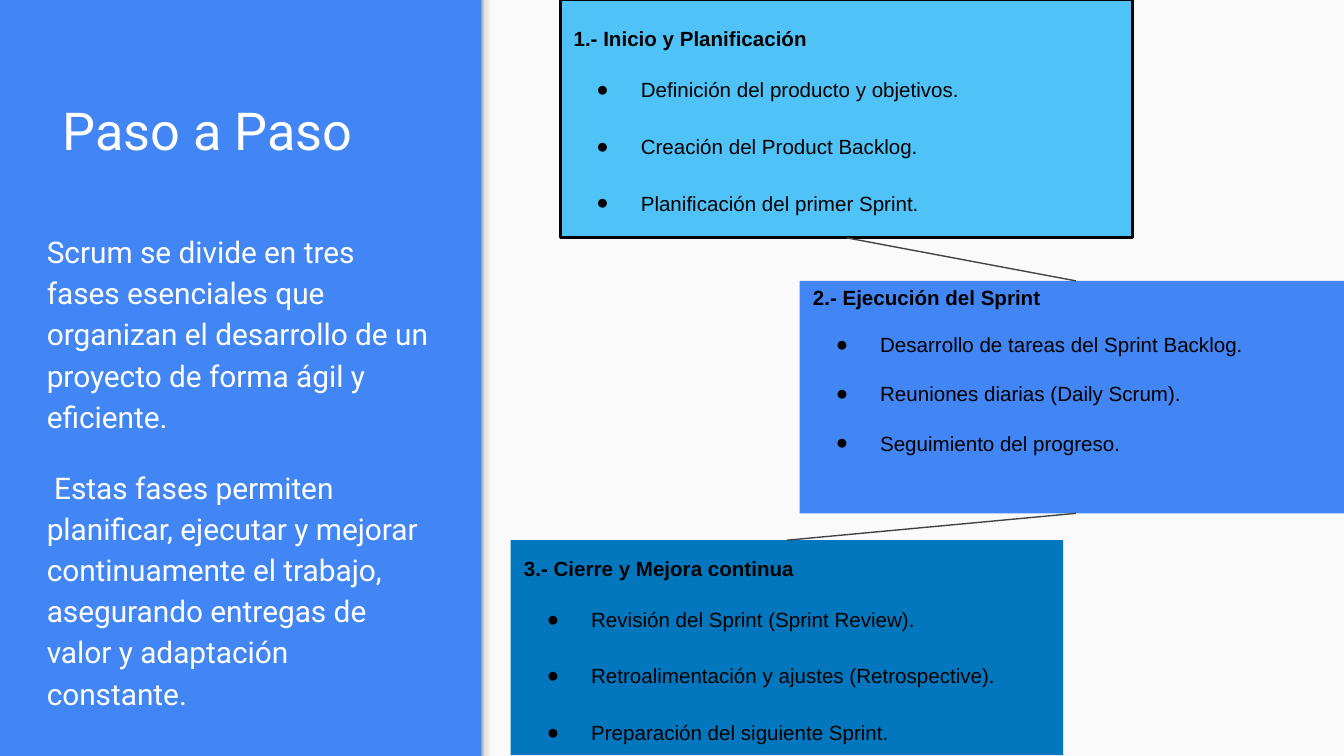
import copy

import pptx
import pptx.dml.color
import pptx.enum.shapes
import pptx.enum.text
import pptx.oxml
import pptx.oxml.ns
import pptx.util

Inches = pptx.util.Inches
Pt = pptx.util.Pt
RGBColor = pptx.dml.color.RGBColor
Anchor = pptx.enum.text.MSO_ANCHOR

PAGE_WIDTH = 10
PAGE_HEIGHT = PAGE_WIDTH * 9 / 16

BLUE = RGBColor(0x42, 0x85, 0xF4)
SKY = RGBColor(0x4F, 0xC3, 0xF7)
DEEP_BLUE = RGBColor(0x02, 0x77, 0xBD)
PAPER = RGBColor(0xFA, 0xFA, 0xFA)
WHITE = RGBColor(0xFF, 0xFF, 0xFF)
BLACK = RGBColor(0, 0, 0)
CHARCOAL = RGBColor(0x42, 0x42, 0x42)
SHADE_STOPS = [
    (0, RGBColor(0x99, 0x99, 0x99)),
    (0.2, RGBColor(0xDE, 0xDE, 0xDE)),
    (0.64, RGBColor(0xF9, 0xF9, 0xF9)),
    (1, RGBColor(0xF9, 0xF9, 0xF9)),
]


class SlideBuilder:
    side_font = "Roboto"
    card_font = "Arial"
    card_size = Pt(11)
    margin = Inches(0.1)

    def __init__(self, page):
        self.page = page
        page.background.fill.solid()
        page.background.fill.fore_color.rgb = BLUE

    def rectangle(self, left, top, width, height, color, outline=None):
        box = self.page.shapes.add_shape(
            pptx.enum.shapes.MSO_SHAPE.RECTANGLE,
            Inches(left), Inches(top), Inches(width), Inches(height),
        )
        box.shadow.inherit = False
        box.fill.solid()
        box.fill.fore_color.rgb = color
        if outline is None:
            box.line.fill.background()
        else:
            box.line.color.rgb = outline
            box.line.width = Pt(1.5)
        return box

    def shade(self, left, top, width, height):
        strip = self.rectangle(left, top, width, height, PAPER)
        strip.fill.gradient()
        strip.fill.gradient_angle = 0
        stop_list = strip.fill._fill._gradFill.gsLst
        while len(stop_list) < len(SHADE_STOPS):
            stop_list.append(copy.deepcopy(stop_list[0]))
        for stop, (position, color) in zip(strip.fill.gradient_stops, SHADE_STOPS):
            stop.position = position
            stop.color.rgb = color

    def prepare_frame(self, frame, anchor, top_margin=margin):
        frame.word_wrap = True
        frame.vertical_anchor = anchor
        frame.margin_left = frame.margin_right = frame.margin_bottom = self.margin
        frame.margin_top = top_margin

    def format_runs(self, para, font, size, color, bold=False):
        for span in para.runs:
            span.font.name = font
            span.font.size = size
            span.font.bold = bold
            span.font.color.rgb = color

    def side_text(self, left, top, width, height, text, size, anchor, spacing=1.0):
        box = self.page.shapes.add_textbox(
            Inches(left), Inches(top), Inches(width), Inches(height)
        )
        frame = box.text_frame
        self.prepare_frame(frame, anchor)
        frame.text = text
        for index, para in enumerate(frame.paragraphs):
            para.line_spacing = spacing
            if index:
                para.space_before = Pt(16)
            self.format_runs(para, self.side_font, Pt(size), WHITE)

    def bullet(self, para):
        properties = para._p.get_or_add_pPr()
        properties.set("marL", str(Inches(0.5)))
        properties.set("indent", str(Inches(-0.33)))
        namespace = pptx.oxml.ns.nsdecls("a")
        for markup in (
            f'<a:buClr {namespace}><a:srgbClr val="{BLACK}"/></a:buClr>',
            f'<a:buFont {namespace} typeface="{self.card_font}"/>',
            f'<a:buChar {namespace} char="●"/>',
        ):
            properties.append(pptx.oxml.parse_xml(markup))

    def card(self, left, top, width, height, color, heading, items,
             top_margin, spacing, item_gap, outline=None):
        box = self.rectangle(left, top, width, height, color, outline)
        frame = box.text_frame
        self.prepare_frame(frame, Anchor.TOP, Inches(top_margin))
        frame.text = "\n".join([heading, *items])
        for index, para in enumerate(frame.paragraphs):
            if index:
                self.bullet(para)
                para.space_before = Pt(12 if index == 1 else item_gap)
            para.alignment = pptx.enum.text.PP_ALIGN.LEFT
            para.line_spacing = spacing
            self.format_runs(para, self.card_font, self.card_size, BLACK, index == 0)
        return box

    def link(self, upper, lower):
        line = self.page.shapes.add_connector(
            pptx.enum.shapes.MSO_CONNECTOR.STRAIGHT, 0, 0, 0, 0
        )
        line.begin_connect(upper, 2)
        line.end_connect(lower, 0)
        line.line.color.rgb = CHARCOAL
        line.line.width = Pt(0.75)
        line._element.spPr.append(
            pptx.oxml.parse_xml(f'<a:effectLst {pptx.oxml.ns.nsdecls("a")}/>')
        )


def main():
    deck = pptx.Presentation()
    deck.slide_width = Inches(PAGE_WIDTH)
    deck.slide_height = Inches(PAGE_HEIGHT)
    builder = SlideBuilder(deck.slides.add_slide(deck.slide_layouts[6]))

    builder.rectangle(3.58, 0, PAGE_WIDTH - 3.58, PAGE_HEIGHT, PAPER)
    builder.shade(3.58, 0, 0.12, PAGE_HEIGHT)
    builder.side_text(0.37, 0.26, 3.07, 1.04, "Paso a Paso", 28, Anchor.BOTTOM)
    builder.side_text(
        0.25, 1.6, 3.07, 3.46,
        "Scrum se divide en tres fases esenciales que organizan el desarrollo "
        "de un proyecto de forma ágil y eficiente.\n"
        " Estas fases permiten planificar, ejecutar y mejorar continuamente el "
        "trabajo, asegurando entregas de valor y adaptación constante.",
        16, Anchor.TOP, 1.15,
    )

    planning = builder.card(
        4.17, 0, 4.26, 1.77, SKY, "1.- Inicio y Planificación",
        ["Definición del producto y objetivos.",
         "Creación del Product Backlog.",
         "Planificación del primer Sprint."],
        top_margin=0.17, spacing=1.15, item_gap=15.2, outline=BLACK,
    )
    execution = builder.card(
        5.95, 2.09, 4.11, 1.73, BLUE, "2.- Ejecución del Sprint",
        ["Desarrollo de tareas del Sprint Backlog.",
         "Reuniones diarias (Daily Scrum).",
         "Seguimiento del progreso."],
        top_margin=0.03, spacing=1.0, item_gap=13.2,
    )
    closing = builder.card(
        3.8, 4.02, 4.11, 1.6, DEEP_BLUE, "3.- Cierre y Mejora continua",
        ["Revisión del Sprint (Sprint Review).",
         "Retroalimentación y ajustes (Retrospective).",
         "Preparación del siguiente Sprint."],
        top_margin=0.09, spacing=1.15, item_gap=15.2,
    )
    builder.link(planning, execution)
    builder.link(execution, closing)

    deck.save("out.pptx")


if __name__ == "__main__":
    main()
